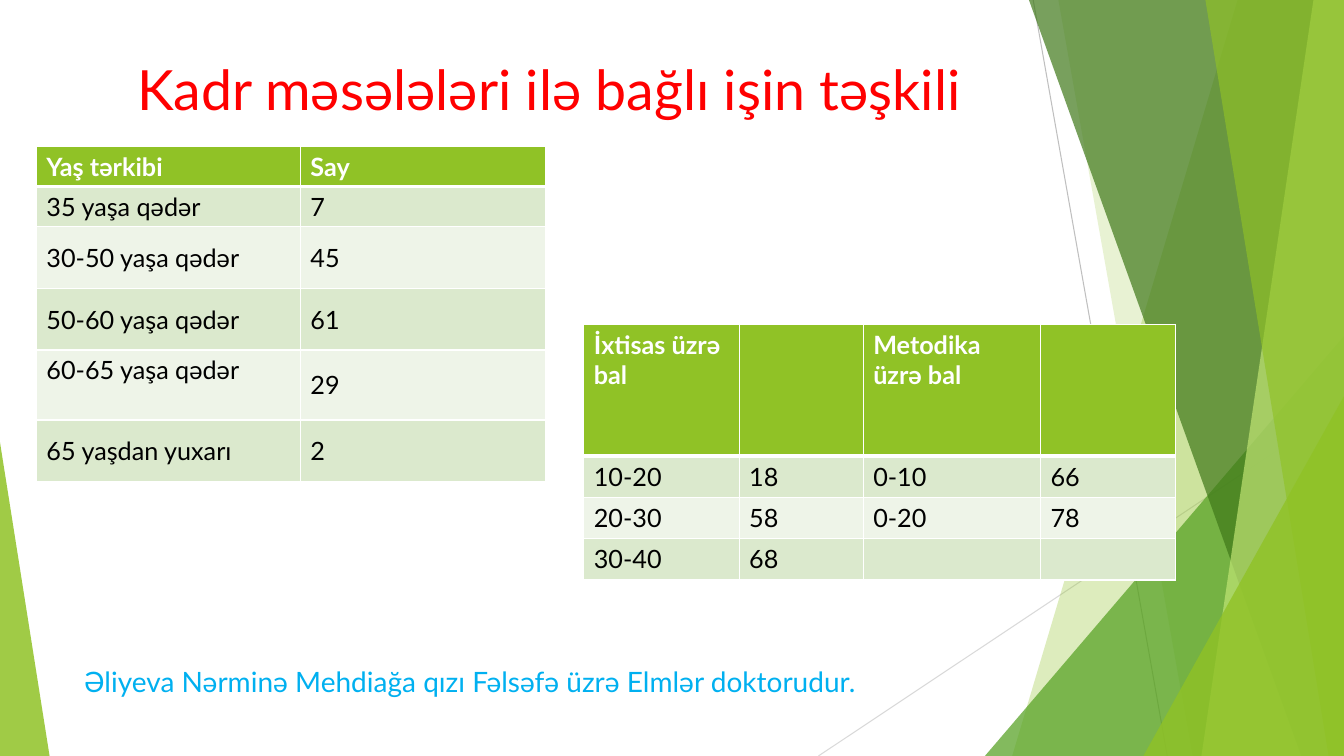
from lxml import etree
from pptx import Presentation
from pptx.dml.color import RGBColor
from pptx.enum import shapes, text
from pptx.oxml import ns
from pptx.util import Pt

WIDTH, HEIGHT = 960, 540
FONT = "Lato"
WHITE, BLACK, GREEN = "FFFFFF", "000000", "90C226"
BANDS = ("DBE9CD", "EEF4E8")

HEADING = "Kadr məsələləri ilə bağlı işin təşkili"
FOOTNOTE = "Əliyeva Nərminə Mehdiağa qızı Fəlsəfə üzrə Elmlər doktorudur."

AGES = {
    "at": (26, 104.4),
    "columns": (188.6, 175),
    "heights": (28.8, 28.8, 44, 44, 50, 44),
    "rows": [
        ("Yaş tərkibi", "Say"),
        ("35 yaşa qədər", "7"),
        ("30-50 yaşa qədər", "45"),
        ("50-60 yaşa qədər", "61"),
        ("60-65 yaşa qədər", "29"),
        ("65 yaşdan yuxarı", "2"),
    ],
    "anchor": text.MSO_ANCHOR.MIDDLE,
    "top_cells": [(4, 0)],
}
SCORES = {
    "at": (417, 231.8),
    "columns": (111, 88.6, 126.7, 96.5),
    "heights": (94, 29.5, 29.5, 29.5),
    "rows": [
        ("İxtisas üzrə\nbal", "", "Metodika üzrə bal", ""),
        ("10-20", "18", "0-10", "66"),
        ("20-30", "58", "0-20", "78"),
        ("30-40", "68", "", ""),
    ],
    "anchor": text.MSO_ANCHOR.TOP,
    "top_cells": [],
}

RAYS = [
    ((738, 0), (833.8, 540), "BFBFBF"),
    ((960, 290), (584.6, 540), "D9D9D9"),
]
FACETS = [
    ("band", (884, 723), GREEN, 30),
    ("band", (756, 851.8), GREEN, 20),
    ("triangle", (703.5, 240, 256.5, 300, 1), "54A021", 72),
    ("band", (735, 929.5), "3F7819", 70),
    ("band", (938.2, 858.2), "C0E474", 70),
    ("band", (861, 949), GREEN, 65),
    ("triangle", (816.7, 283, 143.3, 257, 1), GREEN, 80),
    ("triangle", (0, 316, 35.4, 224, 0), GREEN, 85),
]


def color(value):
    return RGBColor.from_string(value)


def style(paragraph, size, value, bold=False):
    paragraph.font.name = FONT
    paragraph.font.size = Pt(size)
    paragraph.font.bold = bold
    paragraph.font.color.rgb = color(value)


def add_ray(slide, start, end, value):
    ray = slide.shapes.add_connector(
        shapes.MSO_CONNECTOR.STRAIGHT, *map(Pt, start + end))
    ray.line.color.rgb = color(value)
    ray.line.width = Pt(0.75)
    etree.SubElement(ray._element.spPr, ns.qn("a:effectLst"))


def add_facet(slide, kind, geometry, value, opacity):
    if kind == "band":
        top_x, bottom_x = geometry
        outline = slide.shapes.build_freeform(Pt(top_x), 0, scale=1.0)
        corners = [(WIDTH, 0), (WIDTH, HEIGHT), (bottom_x, HEIGHT)]
        outline.add_line_segments([(Pt(x), Pt(y)) for x, y in corners], close=True)
        facet = outline.convert_to_shape()
    else:
        *box, apex = geometry
        facet = slide.shapes.add_shape(
            shapes.MSO_SHAPE.ISOSCELES_TRIANGLE, *map(Pt, box))
        facet.adjustments[0] = apex
    facet.shadow.inherit = False
    facet.line.fill.background()
    facet.fill.solid()
    facet.fill.fore_color.rgb = color(value)
    tint = facet._element.spPr.find(ns.qn("a:solidFill"))[0]
    etree.SubElement(tint, ns.qn("a:alpha"), val=str(opacity * 1000))


def add_borders(cell, row):
    widths = {"lnL": 1, "lnR": 1, "lnT": 3 if row == 1 else 1, "lnB": 3 if row == 0 else 1}
    properties = cell._tc.get_or_add_tcPr()
    for position, (side, width) in enumerate(widths.items()):
        border = etree.Element(ns.qn("a:" + side), w=str(Pt(width)))
        fill = etree.SubElement(border, ns.qn("a:solidFill"))
        etree.SubElement(fill, ns.qn("a:srgbClr"), val=WHITE)
        properties.insert(position, border)


def add_table(slide, content):
    columns, heights, rows = content["columns"], content["heights"], content["rows"]
    box = (*content["at"], sum(columns), sum(heights))
    table = slide.shapes.add_table(len(rows), len(columns), *map(Pt, box)).table
    for column, width in zip(table.columns, columns):
        column.width = Pt(width)
    for r, (height, entries) in enumerate(zip(heights, rows)):
        table.rows[r].height = Pt(height)
        header = r == 0
        for c, entry in enumerate(entries):
            cell = table.cell(r, c)
            cell.text = entry
            top = (r, c) in content["top_cells"]
            cell.vertical_anchor = text.MSO_ANCHOR.TOP if top else content["anchor"]
            cell.fill.solid()
            cell.fill.fore_color.rgb = color(GREEN if header else BANDS[(r - 1) % 2])
            add_borders(cell, r)
            for paragraph in cell.text_frame.paragraphs:
                style(paragraph, 18, WHITE if header else BLACK, header)


def main():
    deck = Presentation()
    deck.slide_width, deck.slide_height = Pt(WIDTH), Pt(HEIGHT)
    slide = deck.slides.add_slide(deck.slide_layouts[5])

    for ray in RAYS:
        add_ray(slide, *ray)
    for facet in FACETS:
        add_facet(slide, *facet)

    heading = slide.shapes.title
    heading.left, heading.top, heading.width, heading.height = map(Pt, (54, 48.2, 676, 30.2))
    heading.text = HEADING
    heading.text_frame.auto_size = text.MSO_AUTO_SIZE.NONE
    heading.text_frame.vertical_anchor = text.MSO_ANCHOR.MIDDLE
    heading.text_frame.paragraphs[0].alignment = text.PP_ALIGN.CENTER
    style(heading.text_frame.paragraphs[0], 39.6, "FF0000")

    footnote = slide.shapes.add_textbox(*map(Pt, (53.3, 471, 676.8, 46))).text_frame
    footnote.word_wrap = True
    footnote.text = FOOTNOTE
    style(footnote.paragraphs[0], 20, "00B0F0")

    add_table(slide, AGES)
    add_table(slide, SCORES)
    deck.save("out.pptx")


if __name__ == "__main__":
    main()
